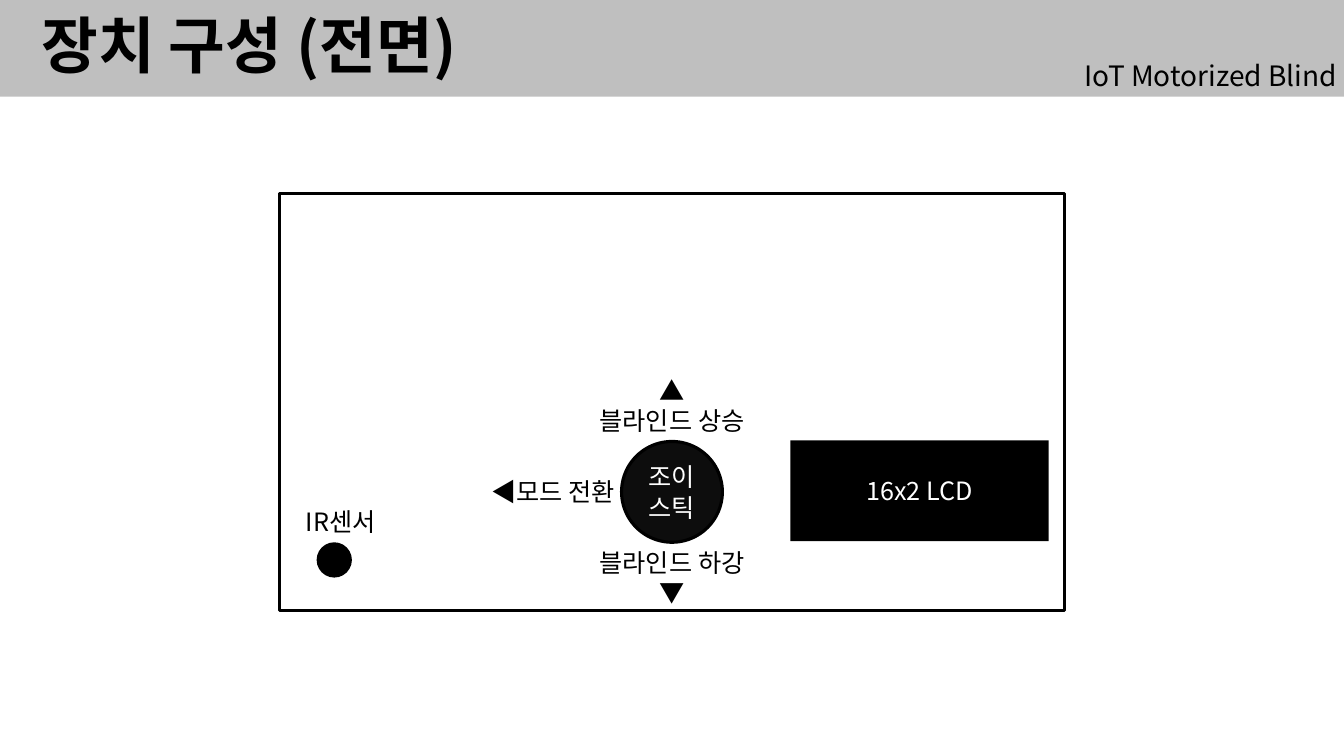
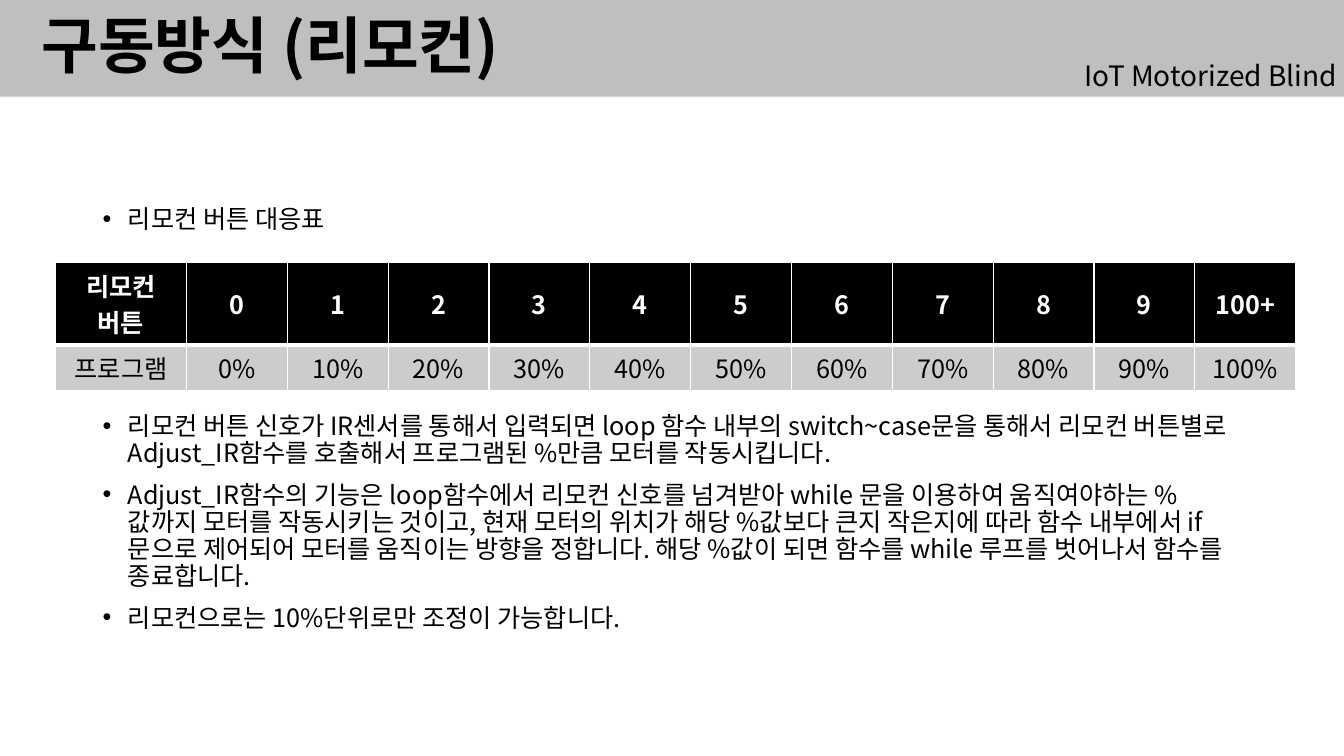
from lxml.etree import SubElement
from pptx import Presentation
from pptx.dml.color import RGBColor
from pptx.enum.shapes import MSO_SHAPE
from pptx.enum.text import MSO_ANCHOR, MSO_AUTO_SIZE, PP_ALIGN
from pptx.oxml.ns import qn
from pptx.util import Inches, Pt

FONT = "Noto Sans CJK KR"
COLORS = {
    "band": "BFBFBF",
    "ink": "000000",
    "paper": "FFFFFF",
    "knob": "0D0D0D",
    "row": "CCCCCC",
}
PROJECT = "IoT Motorized Blind"
LABEL_PITCH = Pt(21.6)
BODY_PITCH = Pt(19.5)

BUTTONS = ["리모컨\n버튼", *map(str, range(10)), "100+"]
PROGRAM = ["프로그램", *(f"{step * 10}%" for step in range(11))]
TABLE_HEADING = ["리모컨 버튼 대응표"]
EXPLANATION = [
    "리모컨 버튼 신호가 IR센서를 통해서 입력되면 loop 함수 내부의 switch~case문을 통해서 "
    "리모컨 버튼별로 Adjust_IR함수를 호출해서 프로그램된 %만큼 모터를 작동시킵니다.",
    "Adjust_IR함수의 기능은 loop함수에서 리모컨 신호를 넘겨받아 while 문을 이용하여 "
    "움직여야하는 %값까지 모터를 작동시키는 것이고, 현재 모터의 위치가 해당 %값보다 큰지 "
    "작은지에 따라 함수 내부에서 if문으로 제어되어 모터를 움직이는 방향을 정합니다. "
    "해당 %값이 되면 함수를 while 루프를 벗어나서 함수를 종료합니다.",
    "리모컨으로는 10%단위로만 조정이 가능합니다.",
]


def color(name):
    """Return the palette colour with this name."""
    return RGBColor.from_string(COLORS[name])


def write(frame, lines, size=18, ink="ink", bold=False, align=PP_ALIGN.CENTER,
          pitch=None):
    """Write one paragraph per line and return the paragraphs."""
    for index, line in enumerate(lines):
        paragraph = frame.add_paragraph() if index else frame.paragraphs[0]
        paragraph.alignment = align
        if pitch:
            paragraph.line_spacing = pitch
        run = paragraph.add_run()
        run.text = line
        run.font.name = FONT
        run.font.size = Pt(size)
        run.font.bold = bold
        run.font.color.rgb = color(ink)
        SubElement(run.font._element, qn("a:ea")).set("typeface", FONT)
    return frame.paragraphs


def add_text(slide, box, lines, anchor=MSO_ANCHOR.TOP, **style):
    """Add a wrapping text box and return its paragraphs."""
    frame = slide.shapes.add_textbox(*map(Inches, box)).text_frame
    frame.word_wrap = True
    frame.vertical_anchor = anchor
    return write(frame, lines, **style)


def add_part(slide, preset, box, fill, outlined=False, lines=()):
    """Add a flat device part with optional light text."""
    part = slide.shapes.add_shape(preset, *map(Inches, box))
    part.shadow.inherit = False
    part.fill.solid()
    part.fill.fore_color.rgb = color(fill)
    if outlined:
        part.line.color.rgb = color("ink")
        part.line.width = Pt(2.25)
    else:
        part.line.fill.background()
    part.text_frame.vertical_anchor = MSO_ANCHOR.MIDDLE
    write(part.text_frame, lines, ink="paper", pitch=LABEL_PITCH)


def add_titled_slide(deck, heading):
    """Add a slide with the grey title band and the project name."""
    slide = deck.slides.add_slide(deck.slide_layouts[5])
    band = slide.shapes.title
    band.left, band.top = Inches(0), Inches(0)
    band.width, band.height = deck.slide_width, Inches(0.96)
    band.fill.solid()
    band.fill.fore_color.rgb = color("band")
    frame = band.text_frame
    frame.auto_size = MSO_AUTO_SIZE.NONE
    frame.vertical_anchor = MSO_ANCHOR.MIDDLE
    frame.margin_left = Inches(0.41)
    write(frame, [heading], size=44, bold=True, align=PP_ALIGN.LEFT, pitch=0.9)
    add_text(slide, (10.36, 0.52, 3, 0.44), [PROJECT], MSO_ANCHOR.BOTTOM,
             size=20, align=PP_ALIGN.RIGHT)
    return slide


def add_joystick(slide, left, top, size):
    """Add the joystick with a label for each direction."""
    add_part(slide, MSO_SHAPE.OVAL, (left, top, size, size), "knob", True,
             ["조이", "스틱"])
    label_left = left + size / 2 - 1.5
    add_text(slide, (label_left, top - 0.71, 3, 0.71), ["▲", "블라인드 상승"],
             pitch=LABEL_PITCH)
    add_text(slide, (label_left, top + size, 3, 0.71), ["블라인드 하강", "▼"],
             pitch=LABEL_PITCH)
    add_text(slide, (left - 2.04, top + size / 2 - 0.2, 2.07, 0.4),
             ["◀모드 전환"], align=PP_ALIGN.RIGHT, pitch=LABEL_PITCH)


def add_front_panel(slide, left, top, width, height):
    """Add the device front with its joystick, display and sensor."""
    bottom = top + height
    add_part(slide, MSO_SHAPE.RECTANGLE, (left, top, width, height), "paper", True)
    add_joystick(slide, left + width / 2 - 0.5, bottom - 1.68, 1)
    add_part(slide, MSO_SHAPE.RECTANGLE,
             (left + width - 2.72, bottom - 1.69, 2.56, 1), "ink",
             lines=["16x2 LCD"])
    add_part(slide, MSO_SHAPE.OVAL, (left + 0.37, bottom - 0.68, 0.35, 0.35), "ink")
    add_text(slide, (left - 0.89, bottom - 1.09, 3, 0.4), ["IR센서"],
             pitch=LABEL_PITCH)


def add_bullets(slide, box, lines):
    """Add bulleted paragraphs with a hanging indent."""
    for paragraph in add_text(slide, box, lines, align=PP_ALIGN.LEFT,
                              pitch=BODY_PITCH):
        if paragraph.text != lines[0]:
            paragraph.space_before = Pt(10)
        properties = paragraph._p.get_or_add_pPr()
        properties.set("marL", str(Inches(0.25)))
        properties.set("indent", str(-Inches(0.25)))
        SubElement(properties, qn("a:buFont")).set("typeface", "Arial")
        SubElement(properties, qn("a:buChar")).set("char", "•")


def set_borders(cell, **widths):
    """Give a cell white borders of these widths in points."""
    properties = cell._tc.get_or_add_tcPr()
    for index, side in enumerate(("lnL", "lnR", "lnT", "lnB")):
        border = properties.makeelement(
            qn(f"a:{side}"), {"w": str(Pt(widths.get(side, 1)))})
        fill = SubElement(border, qn("a:solidFill"))
        SubElement(fill, qn("a:srgbClr")).set("val", COLORS["paper"])
        properties.insert(index, border)


def add_button_table(slide, left, top):
    """Add the table that maps remote buttons to blind positions."""
    column_widths = [1.3] + [1] * (len(BUTTONS) - 1)
    row_heights = [0.82, 0.46]
    table = slide.shapes.add_table(
        2, len(BUTTONS), Inches(left), Inches(top),
        Inches(sum(column_widths)), Inches(sum(row_heights))).table
    for column, width in zip(table.columns, column_widths):
        column.width = Inches(width)
    for row, height in zip(table.rows, row_heights):
        row.height = Inches(height)
    rows = [(BUTTONS, "ink", "paper", True, "lnB"),
            (PROGRAM, "row", "ink", False, "lnT")]
    for row, (values, fill, ink, bold, thick_side) in enumerate(rows):
        for column, value in enumerate(values):
            cell = table.cell(row, column)
            cell.fill.solid()
            cell.fill.fore_color.rgb = color(fill)
            cell.vertical_anchor = MSO_ANCHOR.MIDDLE
            write(cell.text_frame, value.split("\n"), ink=ink, bold=bold)
            set_borders(cell, **{thick_side: 3})


def build_front_slide(deck):
    """Build the slide that shows the device front."""
    slide = add_titled_slide(deck, "장치 구성 (전면)")
    add_front_panel(slide, 2.77, 1.92, 7.79, 4.14)


def build_remote_slide(deck):
    """Build the slide that explains the remote control."""
    slide = add_titled_slide(deck, "구동방식 (리모컨)")
    add_bullets(slide, (0.92, 2, 11.5, 0.45), TABLE_HEADING)
    add_button_table(slide, 0.55, 2.6)
    add_bullets(slide, (0.92, 4.05, 11.5, 2.7), EXPLANATION)


def main():
    """Build and save the deck."""
    deck = Presentation()
    deck.slide_width, deck.slide_height = Inches(13.33), Inches(7.5)
    build_front_slide(deck)
    build_remote_slide(deck)
    deck.save("out.pptx")


if __name__ == "__main__":
    main()
